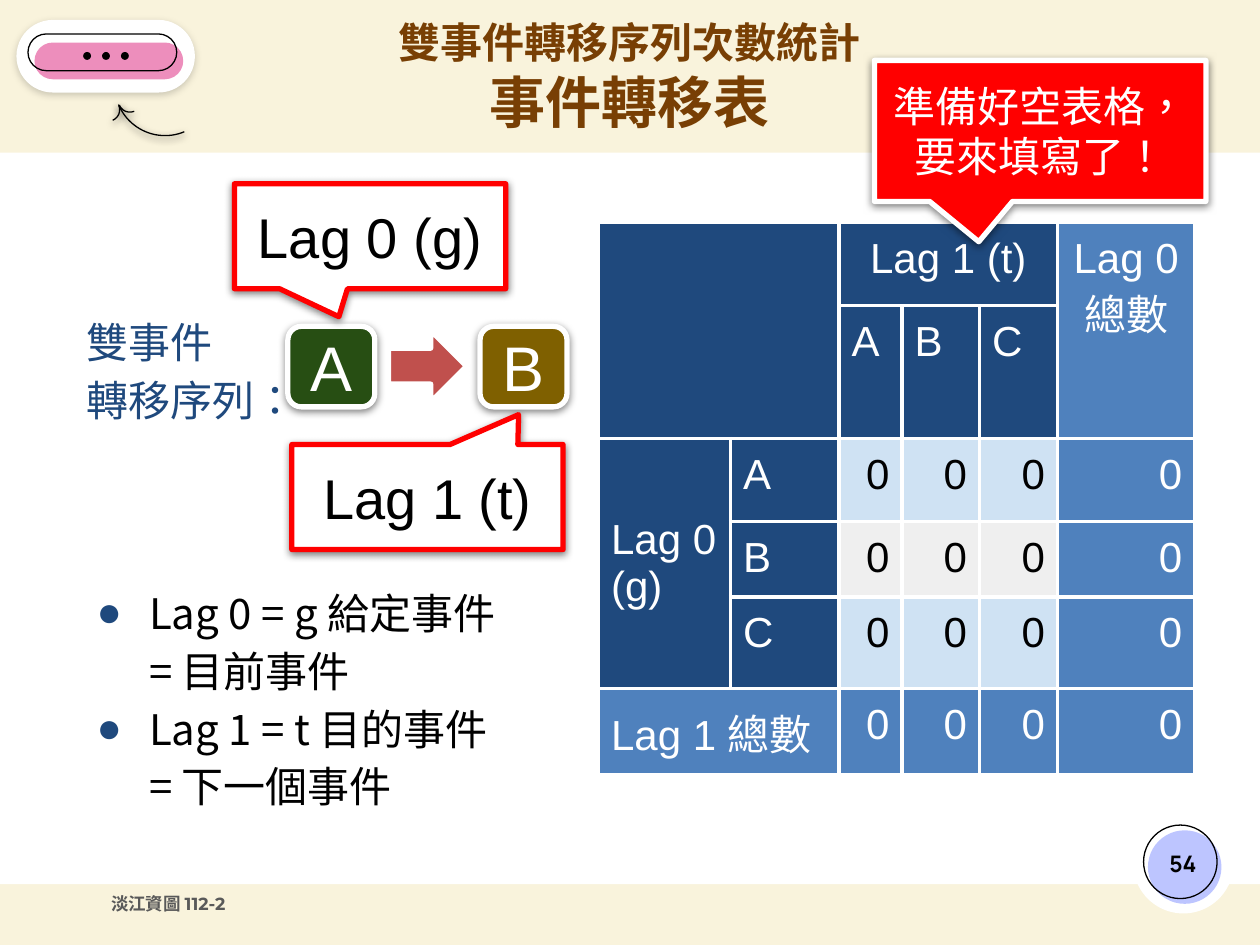
from copy import deepcopy
from dataclasses import dataclass
from typing import Optional

from lxml.etree import SubElement
from pptx import Presentation
from pptx.dml.color import RGBColor
from pptx.enum.shapes import MSO_SHAPE as Kind
from pptx.enum.text import MSO_ANCHOR as Anchor, MSO_AUTO_SIZE as Fit, PP_ALIGN as Align
from pptx.oxml.ns import qn
from pptx.util import Pt


@dataclass(frozen=True)
class Theme:
    cream: str = "F9F3DC"
    white: str = "FFFFFF"
    black: str = "000000"
    gray: str = "595959"
    brown: str = "783F04"
    navy: str = "1F497D"
    blue: str = "4F81BD"
    sky: str = "CFE2F3"
    pale: str = "EFEFEF"
    lilac: str = "BDC5FF"
    pink: str = "ED8EBC"
    green: str = "274E13"
    olive: str = "7F6000"
    brick: str = "C0504D"
    red: str = "FF0000"
    sans: str = "Arial"
    head: str = "Manrope"
    foot: str = "Montserrat"
    han: str = "Noto Sans CJK TC"
    tiny: int = 10
    small: int = 13
    text: int = 24
    large: int = 32
    huge: int = 36
    thin: float = 0.75
    edge: float = 2.25
    thick: float = 3


T = Theme()


@dataclass(frozen=True)
class Part:
    kind: Kind
    box: tuple
    fill: Optional[str] = None
    line: Optional[str] = None
    width: float = T.thin
    shade: int = 0
    turn: float = 0
    flip: bool = False
    adjust: tuple = ()
    text: str = ""
    size: int = T.text
    ink: str = T.white
    side: float = 7.2


def place(shape, box: tuple) -> None:
    """Move a placeholder and bring it in front of what is drawn so far."""
    shape.left, shape.top, shape.width, shape.height = map(Pt, box)
    shape._element.getparent().append(shape._element)


def write(frame, text: str, *, size: float = T.text, first: Optional[float] = None,
          color: str = T.white, font: str = T.sans, bold: bool = False,
          align=Align.LEFT, space: float = 1.0) -> None:
    """Fill a frame: a newline starts a paragraph, a vertical tab breaks a line."""
    frame.text = text
    for i, para in enumerate(frame.paragraphs):
        para.alignment, para.line_spacing, para.space_before = align, space, Pt(0)
        for run in para.runs:
            run.font.size = Pt(first if first and i == 0 else size)
            run.font.name, run.font.bold = font, bold
            run.font.color.rgb = RGBColor.from_string(color)
            run.font._element.set("lang", "zh-TW")
            SubElement(run.font._element, qn("a:ea"), typeface=T.han)
        for gap in para._p.findall(qn("a:br")):
            gap.insert(0, deepcopy(para.runs[0].font._element))


def frame_up(frame, anchor=Anchor.TOP, side: float = 7.2, top: float = 7.2) -> None:
    frame.word_wrap, frame.auto_size = True, Fit.NONE
    frame.vertical_anchor = anchor
    frame.margin_left = frame.margin_right = Pt(side)
    frame.margin_top, frame.margin_bottom = Pt(top), Pt(7.2)


def label(slide, box: tuple, text: str, anchor=Anchor.MIDDLE, **style) -> None:
    shape = slide.shapes.add_textbox(*map(Pt, box))
    frame_up(shape.text_frame, anchor)
    write(shape.text_frame, text, **style)


def draw(slide, part: Part) -> None:
    shape = slide.shapes.add_shape(part.kind, *map(Pt, part.box))
    shape.rotation = part.turn
    for i, value in enumerate(part.adjust):
        shape.adjustments[i] = value
    for fill, color in ((shape.fill, part.fill), (shape.line.fill, part.line)):
        if color:
            fill.solid()
            fill.fore_color.rgb = RGBColor.from_string(color)
        else:
            fill.background()
    if part.line:
        shape.line.width = Pt(part.width)
    shape.shadow.inherit = False
    props = shape._element.spPr
    if part.flip:
        props.find(qn("a:xfrm")).set("flipH", "1")
    if part.shade:
        glow = SubElement(props.find(qn("a:effectLst")), qn("a:outerShdw"), blurRad=str(Pt(4.5)),
                          dist=str(Pt(1.5)), dir="5400000", algn="bl", rotWithShape="0")
        tone = SubElement(glow, qn("a:srgbClr"), val=T.black)
        SubElement(tone, qn("a:alpha"), val=str(part.shade * 1000))
    if part.text:
        frame_up(shape.text_frame, Anchor.MIDDLE, part.side)
        write(shape.text_frame, part.text, size=part.size, color=part.ink, align=Align.CENTER)


def bullet(para) -> None:
    props = para._p.get_or_add_pPr()
    props.set("marL", str(Pt(36)))
    props.set("indent", str(-Pt(30)))
    tone = SubElement(props, qn("a:buClr"))
    SubElement(tone, qn("a:srgbClr"), val=T.navy)
    SubElement(props, qn("a:buChar"), char="●")


def border(cell) -> None:
    props = cell._tc.get_or_add_tcPr()
    for i, side in enumerate(("lnL", "lnR", "lnT", "lnB")):
        line = SubElement(props, qn(f"a:{side}"), w=str(Pt(T.edge)))
        SubElement(SubElement(line, qn("a:solidFill")), qn("a:srgbClr"), val=T.white)
        props.insert(i, line)


def shade(row: int, col: int) -> str:
    if row == 5 or col == 5:
        return T.blue
    if row < 2 or col < 2:
        return T.navy
    return T.pale if row == 3 else T.sky


def grid(slide) -> None:
    cols, rows = (75.5, 62, 36, 44.2, 44.6, 78.5), (47.4, 75.6, 47.5, 43, 52.5, 47.5)
    zeros = ["0"] * 4
    words = (
        ["", "", "Lag 1 (t)", "", "", "Lag 0\n總數"],
        ["", "", "A", "B", "C", ""],
        ["Lag 0\n(g)", "A", *zeros],
        ["", "B", *zeros],
        ["", "C", *zeros],
        ["Lag 1 總數", "", *zeros],
    )
    table = slide.shapes.add_table(6, 6, Pt(342), Pt(127.2), Pt(sum(cols)), Pt(sum(rows))).table
    table.first_row = table.horz_banding = False
    for col, width in zip(table.columns, cols):
        col.width = Pt(width)
    for row, height in zip(table.rows, rows):
        row.height = Pt(height)
    for r, line in enumerate(words):
        for c, word in enumerate(line):
            cell = table.cell(r, c)
            cell.fill.solid()
            cell.fill.fore_color.rgb = RGBColor.from_string(shade(r, c))
            border(cell)
            cell.margin_left = cell.margin_right = cell.margin_top = cell.margin_bottom = Pt(7.2)
            cell.vertical_anchor = Anchor.MIDDLE if c == 0 else Anchor.TOP
            if word:
                inner = 2 <= r < 5 and 2 <= c < 5
                align = Align.RIGHT if word == "0" else Align.CENTER if r == 0 else Align.LEFT
                write(cell.text_frame, word, color=T.black if inner else T.white, align=align)
    for start, end in (((0, 0), (1, 1)), ((0, 2), (0, 4)), ((0, 5), (1, 5)),
                       ((2, 0), (4, 0)), ((5, 0), (5, 1))):
        table.cell(*start).merge(table.cell(*end))


def main() -> None:
    deck = Presentation()
    deck.slide_width, deck.slide_height = Pt(720), Pt(540)
    slide = deck.slides.add_slide(deck.slide_layouts[1])
    slide.background.fill.solid()
    slide.background.fill.fore_color.rgb = RGBColor.from_string(T.cream)
    pill, oval, arc = Kind.ROUNDED_RECTANGLE, Kind.OVAL, Kind.ARC

    # White panel, page badge, curved arrow and pill ornament
    bent = dict(line=T.black, shade=68, turn=157.5)
    decor = [
        Part(Kind.RECTANGLE, (0, 87.3, 720, 418), T.white),
        Part(oval, (647.5, 464.5, 57.5, 57.5), T.white),
        Part(oval, (656, 474.5, 42, 42), T.lilac),
        Part(oval, (653.5, 471.5, 42, 42), line=T.black),
        Part(arc, (65.5, 20, 57.5, 57.5), **bent),
        Part(arc, (67.7, 51.1, 13, 13), **bent),
        Part(arc, (55.4, 56.2, 13, 13), flip=True, **bent),
        Part(pill, (9.4, 11.4, 102, 41.5), T.white, shade=19, adjust=(0.5,)),
        Part(pill, (19.7, 24.3, 85, 21), T.pink, adjust=(0.5,)),
        Part(pill, (16, 19.4, 85, 21), line=T.black, adjust=(0.5,)),
        *(Part(oval, (47.5 + 10.8 * i, 29.7, 4.5, 4.5), T.black) for i in range(3)),
    ]
    for part in decor:
        draw(slide, part)

    # Title, page number and footer
    title = slide.shapes.title
    place(title, (111.5, 11.5, 497, 70.5))
    frame_up(title.text_frame, Anchor.MIDDLE, top=0)
    write(title.text_frame, "雙事件轉移序列次數統計\n事件轉移表", size=T.large, first=T.text,
          color=T.brown, font=T.head, bold=True, align=Align.CENTER)
    label(slide, (654.5, 473, 43, 41), "54", size=T.small, color=T.black,
          font=T.head, bold=True, align=Align.CENTER)
    label(slide, (56.4, 503, 310, 28), "淡江資圖 112-2", anchor=Anchor.TOP, size=T.tiny,
          color=T.gray, font=T.foot, bold=True)

    # Transition table
    grid(slide)

    # Definitions
    body = slide.placeholders[1]
    place(body, (42, 324, 284.5, 159))
    frame_up(body.text_frame)
    write(body.text_frame, "Lag 0 = g 給定事件\v= 目前事件\nLag 1 = t 目的事件\v= 下一個事件",
          color=T.black, font=T.han, space=1.15)
    for para in body.text_frame.paragraphs:
        bullet(para)

    # Event pair and callouts
    event = dict(line=T.white, width=T.thick, shade=50, size=T.huge)
    note = dict(fill=T.white, line=T.red, width=T.thick, shade=50, size=T.large, ink=T.black)
    call = Kind.ROUNDED_RECTANGULAR_CALLOUT
    for part in (
        Part(pill, (164.5, 186.5, 49.7, 46), T.green, text="A", **event),
        Part(pill, (274.3, 186.5, 49.7, 46), T.olive, text="B", **event),
        Part(Kind.RIGHT_ARROW, (222, 188.8, 44.6, 41), T.brick, T.white, T.thick),
        Part(call, (134, 105, 155, 60), adjust=(-0.115, 0.766, 0), text="Lag 0 (g)", **note),
        Part(call, (166.8, 254, 155, 60), adjust=(0.336, -0.785, 0), text="Lag 1 (t)", **note),
        Part(call, (499.7, 34.5, 189.4, 80.6), T.red, T.white, T.thick, 50,
             adjust=(-0.185, 0.786, 0), text="準備好空表格，要來填寫了！", side=0),
    ):
        draw(slide, part)
    label(slide, (42.4, 167.5, 142, 84), "雙事件\n轉移序列：", color=T.navy, space=1.15)

    deck.save("out.pptx")


if __name__ == "__main__":
    main()
